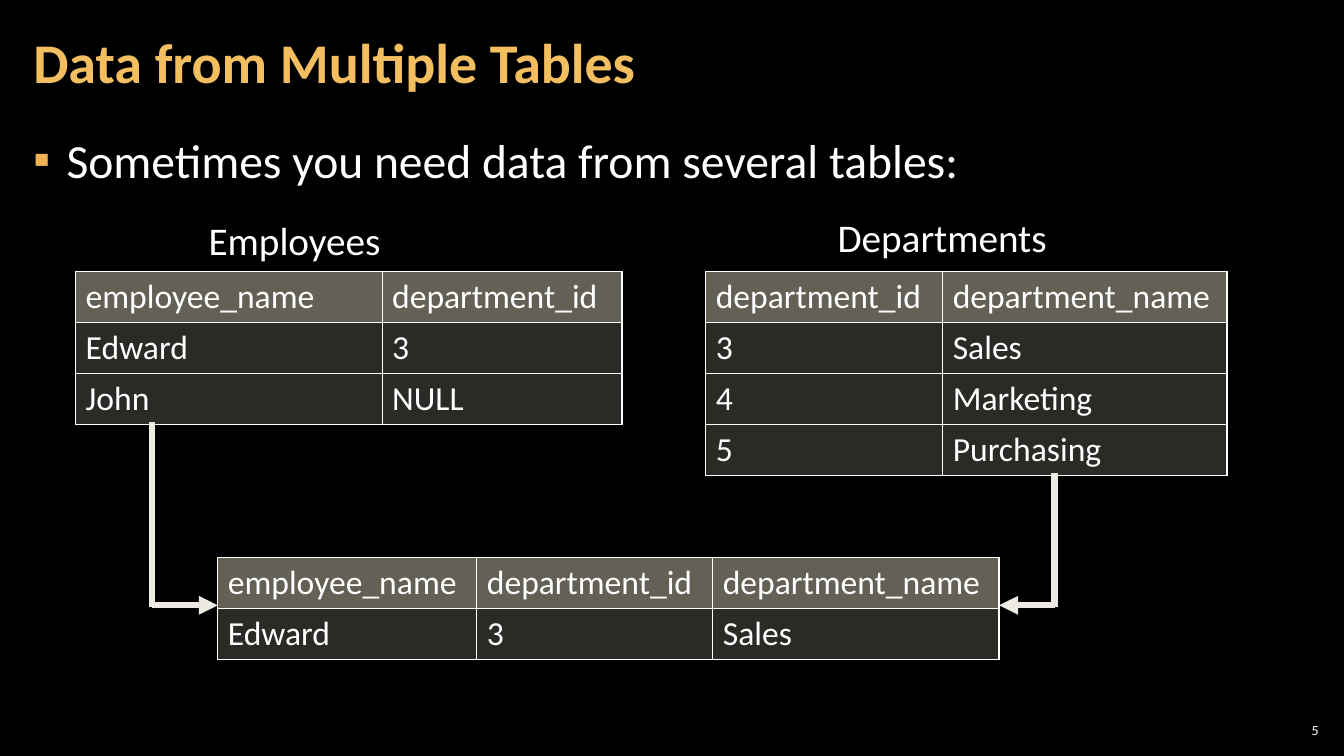
from lxml import etree
from pptx import Presentation
from pptx import util as u
from pptx.dml.color import RGBColor
from pptx.enum import shapes, text
from pptx.oxml.ns import qn

COLORS = {
    "background": "000000", "text": "FFFFFF", "title": "F3BE60", "bullet": "F2B254",
    "arrow": "ECEAE3", "header": "C6C0AA", "body": "D9D5C7", "border": "FFFFFF",
}
CELL = 0.25  # side of one grid square, in inches
ROW = 2      # height of a table row, in grid squares


def grid(*squares):
    return [u.Inches(CELL * count) for count in squares]


def color(name):
    return RGBColor.from_string(COLORS[name])


def add_xml(parent, tag, **attributes):
    return etree.SubElement(parent, qn(tag), attributes)


class SlideBuilder:
    font = "Calibri"
    border_width = u.Pt(1)
    arrow_width = u.Pt(4.5)

    def __init__(self, deck):
        self.page = deck.slides.add_slide(deck.slide_layouts[1])
        self.page.background.fill.solid()
        self.page.background.fill.fore_color.rgb = color("background")

    def style(self, para, size, name="text", bold=False):
        para.font.name, para.font.size, para.font.bold = self.font, u.Pt(size), bold
        para.font.color.rgb = color(name)

    def place(self, box, bounds, margins):
        box.left, box.top, box.width, box.height = grid(*bounds)
        frame = box.text_frame
        frame.word_wrap, frame.auto_size = True, text.MSO_AUTO_SIZE.NONE
        frame.margin_left = frame.margin_right = u.Inches(margins[0])
        frame.margin_top = frame.margin_bottom = u.Inches(margins[1])
        return frame

    def title(self, words, bounds):
        frame = self.place(self.page.shapes.title, bounds, (0.12, 0.04))
        frame.text = words
        frame.vertical_anchor = text.MSO_ANCHOR.MIDDLE
        para = frame.paragraphs[0]
        para.alignment, para.line_spacing = text.PP_ALIGN.LEFT, 0.9
        self.style(para, 40, "title", bold=True)

    def bullets(self, lines, bounds):
        frame = self.place(self.page.placeholders[1], bounds, (0.12, 0.04))
        frame.text = "\n".join(lines)
        for number, para in enumerate(frame.paragraphs):
            props = para._p.get_or_add_pPr()
            props.set("marL", str(u.Inches(0.33)))
            props.set("indent", str(u.Inches(-0.33)))
            add_xml(add_xml(props, "a:buClr"), "a:srgbClr", val=COLORS["bullet"])
            add_xml(props, "a:buFont", typeface=self.font)
            add_xml(props, "a:buChar", char="▪")
            para.space_before, para.space_after = u.Pt(6 if number else 0), u.Pt(6)
            self.style(para, 34)

    def label(self, words, bounds, size, align, margins=(0.1, 0.05)):
        box = self.page.shapes.add_textbox(*grid(*bounds))
        frame = self.place(box, bounds, margins)
        frame.text = words
        frame.vertical_anchor = text.MSO_ANCHOR.MIDDLE
        frame.paragraphs[0].alignment = align
        self.style(frame.paragraphs[0], size)

    def table(self, left, top, widths, records):
        frame = self.page.shapes.add_table(
            len(records), len(widths), *grid(left, top, sum(widths), ROW * len(records)))
        table = frame.table
        table.first_row = table.horz_banding = False
        for column, width in zip(table.columns, grid(*widths)):
            column.width = width
        for row, record in enumerate(records):
            table.rows[row].height = grid(ROW)[0]
            for column, words in enumerate(record):
                cell = table.cell(row, column)
                cell.text = words
                self.style(cell.text_frame.paragraphs[0], 24)
                self.paint(cell, *(("body", 20) if row else ("header", 50)))

    def paint(self, cell, name, opacity):
        cell.fill.solid()
        cell.fill.fore_color.rgb = color(name)
        props = cell._tc.get_or_add_tcPr()
        add_xml(props.find(".//" + qn("a:srgbClr")), "a:alpha", val=str(opacity * 1000))
        # Borders come before the fill
        for position, side in enumerate(("a:lnL", "a:lnR", "a:lnT", "a:lnB")):
            line = add_xml(props, side, w=str(self.border_width))
            add_xml(add_xml(line, "a:solidFill"), "a:srgbClr", val=COLORS["border"])
            props.insert(position, line)

    def line(self, start, end, arrow=False):
        link = self.page.shapes.add_connector(
            shapes.MSO_CONNECTOR.STRAIGHT, *grid(*start, *end))
        link.line.color.rgb = color("arrow")
        link.line.width = self.arrow_width
        if arrow:
            add_xml(link.line._get_or_add_ln(), "a:tailEnd", type="triangle")
        add_xml(link._element.spPr, "a:effectLst")

    def elbow(self, start, end):
        corner = (start[0], end[1])
        self.line(start, (corner[0], corner[1] + 0.06))
        self.line(corner, end, arrow=True)


def main():
    deck = Presentation()
    deck.slide_width, deck.slide_height = u.Inches(13.33), u.Inches(7.5)
    slide = SlideBuilder(deck)

    # Arrows from the source tables to the joined one
    slide.elbow((41.84, 18.76), (39.64, 24.02))
    slide.elbow((6.04, 16.76), (8.64, 24.02))

    # Title, statement and page number
    slide.title("Data from Multiple Tables", (0.84, 0.16, 41.88, 4.84))
    slide.bullets(["Sometimes you need data from several tables:"],
                  (0.84, 5.04, 51.64, 24.36))
    slide.label("5", (50.6, 28.56, 1.88, 0.84), 10, text.PP_ALIGN.RIGHT, (0.04, 0.04))

    # Source tables
    slide.label("Employees", (7.88, 8.36, 7.68, 2.28), 28, text.PP_ALIGN.LEFT)
    slide.table(3, 10.76, (12.16, 9.52), [
        ("employee_name", "department_id"), ("Edward", "3"), ("John", "NULL")])
    slide.label("Departments", (32.84, 8.24, 9.2, 2.28), 28, text.PP_ALIGN.LEFT)
    slide.table(28, 10.76, (9.4, 11.28), [
        ("department_id", "department_name"),
        ("3", "Sales"), ("4", "Marketing"), ("5", "Purchasing")])

    # Joined table
    slide.table(8.64, 22.12, (10.28, 9.36, 11.36), [
        ("employee_name", "department_id", "department_name"), ("Edward", "3", "Sales")])

    deck.save("out.pptx")


if __name__ == "__main__":
    main()
